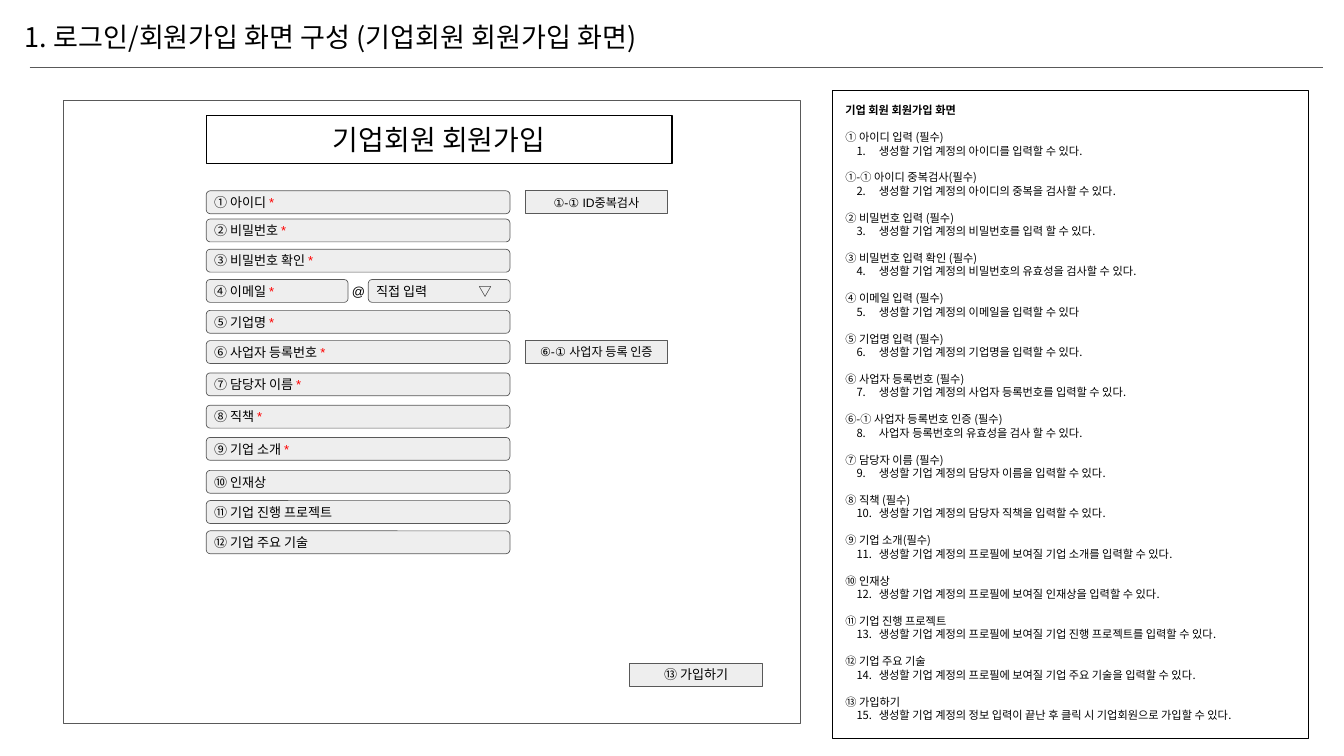
from pptx import Presentation
from pptx.dml.color import RGBColor
from pptx.enum.shapes import MSO_CONNECTOR as Connector, MSO_SHAPE as Shape
from pptx.enum.text import MSO_ANCHOR as Anchor, PP_ALIGN as Align
from pptx.oxml.ns import qn
from pptx.util import Pt
from lxml.etree import SubElement

BLACK = RGBColor(0x00, 0x00, 0x00)
RED = RGBColor(0xFF, 0x00, 0x00)
GRAY = RGBColor(0x59, 0x59, 0x59)
PALE = RGBColor(0xEE, 0xEE, 0xEE)
ARIAL, NOTO = "Arial", "Noto Sans CJK KR"

FIELD_LEFT, FIELD_WIDTH, HALF_WIDTH, FIELD_HEIGHT = 221, 325.4, 152, 24.5
EMAIL_TOP = 299.5
FIELDS = [
    ("① 아이디", 204.5, True),
    ("② 비밀번호", 234.7, True),
    ("③ 비밀번호 확인", 267.1, True),
    ("④ 이메일", EMAIL_TOP, True),
    ("⑤ 기업명", 332.6, True),
    ("⑥ 사업자 등록번호", 365, True),
    ("⑦ 담당자 이름", 399.6, True),
    ("⑧ 직책", 434.2, True),
    ("⑨ 기업 소개", 468.7, True),
    ("⑩ 인재상", 504, False),
    ("⑪ 기업 진행 프로젝트", 536.4, False),
    ("⑫ 기업 주요 기술", 568.8, False),
]
BUTTONS = [
    ("①-① ID중복검사", 563, 204.5, 152, 13),
    ("⑥-① 사업자 등록 인증", 563, 365, 152, 13),
    ("⑬ 가입하기", 674.6, 710.6, 142.6, 14),
]
NOTES = [
    ("① 아이디 입력 (필수)", "생성할 기업 계정의 아이디를 입력할 수 있다."),
    ("①-① 아이디 중복검사(필수)", "생성할 기업 계정의 아이디의 중복을 검사할 수 있다."),
    ("② 비밀번호 입력 (필수)", "생성할 기업 계정의 비밀번호를 입력 할 수 있다."),
    ("③ 비밀번호 입력 확인 (필수)", "생성할 기업 계정의 비밀번호의 유효성을 검사할 수 있다."),
    ("④ 이메일 입력 (필수)", "생성할 기업 계정의 이메일을 입력할 수 있다"),
    ("⑤ 기업명 입력 (필수)", "생성할 기업 계정의 기업명을 입력할 수 있다."),
    ("⑥ 사업자 등록번호 (필수)", "생성할 기업 계정의 사업자 등록번호를 입력할 수 있다."),
    ("⑥-① 사업자 등록번호 인증 (필수)", "사업자 등록번호의 유효성을 검사 할 수 있다."),
    ("⑦ 담당자 이름 (필수)", "생성할 기업 계정의 담당자 이름을 입력할 수 있다."),
    ("⑧ 직책 (필수)", "생성할 기업 계정의 담당자 직책을 입력할 수 있다."),
    ("⑨ 기업 소개(필수)", "생성할 기업 계정의 프로필에 보여질 기업 소개를 입력할 수 있다."),
    ("⑩ 인재상", "생성할 기업 계정의 프로필에 보여질 인재상을 입력할 수 있다."),
    ("⑪ 기업 진행 프로젝트", "생성할 기업 계정의 프로필에 보여질 기업 진행 프로젝트를 입력할 수 있다."),
    ("⑫ 기업 주요 기술", "생성할 기업 계정의 프로필에 보여질 기업 주요 기술을 입력할 수 있다."),
    ("⑬ 가입하기", "생성할 기업 계정의 정보 입력이 끝난 후 클릭 시 기업회원으로 가입할 수 있다."),
]


def add_span(para, text, size, font=ARIAL, color=BLACK, bold=False):
    """Add one styled run to a paragraph."""
    span = para.add_run()
    span.text = text
    span.font.size, span.font.name, span.font.bold = Pt(size), font, bold
    span.font.color.rgb = color
    SubElement(span.font._element, qn("a:ea"), typeface=NOTO)


def set_frame(box, inset, anchor=Anchor.MIDDLE, wrap=True):
    """Set insets, anchor and wrapping, and return the text frame."""
    frame = box.text_frame
    frame.margin_left = frame.margin_right = Pt(inset)
    frame.margin_top = frame.margin_bottom = Pt(inset)
    frame.vertical_anchor, frame.word_wrap = anchor, wrap
    return frame


def add_box(page, left, top, width, height, kind=Shape.RECTANGLE,
            fill=None, line=GRAY, weight=0.75):
    """Add an outlined shape, optionally filled."""
    box = page.shapes.add_shape(kind, Pt(left), Pt(top), Pt(width), Pt(height))
    box.shadow.inherit = False
    if fill is None:
        box.fill.background()
    else:
        box.fill.solid()
        box.fill.fore_color.rgb = fill
    box.line.color.rgb, box.line.width = line, Pt(weight)
    return box


def add_field(page, label, left, top, width, required=False):
    """Add a rounded input field and return its paragraph."""
    box = add_box(page, left, top, width, FIELD_HEIGHT, Shape.ROUNDED_RECTANGLE, PALE)
    box.adjustments[0] = 0.17
    para = set_frame(box, 7.2).paragraphs[0]
    para.alignment = Align.LEFT
    add_span(para, label + " " if required else label, 14)
    if required:
        add_span(para, "*", 14, color=RED)
    return para


def add_dropdown(page):
    """Add the mail domain selector with its arrow on a tab stop."""
    para = add_field(page, "직접 입력", 394.6, EMAIL_TOP, HALF_WIDTH)
    tabs = SubElement(para._p.get_or_add_pPr(), qn("a:tabLst"))
    SubElement(tabs, qn("a:tab"), pos=str(Pt(110)), algn="l")
    add_span(para, "\t▽", 14)


def add_button(page, label, left, top, width, size):
    """Add a rectangular button with a centred label."""
    box = add_box(page, left, top, width, FIELD_HEIGHT, fill=PALE)
    para = set_frame(box, 7.2).paragraphs[0]
    para.alignment = Align.CENTER
    add_span(para, label, size)


def add_label(page, text, left, top, width, height, size, font, inset, wrap):
    """Add a plain text box and return its frame."""
    box = page.shapes.add_textbox(Pt(left), Pt(top), Pt(width), Pt(height))
    frame = set_frame(box, inset, wrap=wrap)
    add_span(frame.paragraphs[0], text, size, font)
    return frame


def add_rule(page, left, right, top):
    """Add the horizontal rule below the title."""
    rule = page.shapes.add_connector(Connector.STRAIGHT, Pt(left), Pt(top), Pt(right), Pt(top))
    rule.line.color.rgb, rule.line.width = GRAY, Pt(0.75)
    SubElement(rule._element.spPr, qn("a:effectLst"))


def number_para(para, number):
    """Give a paragraph a hanging number."""
    props = para._p.get_or_add_pPr()
    props.set("marL", str(Pt(36)))
    props.set("indent", str(Pt(-24)))
    color = SubElement(props, qn("a:buClr"))
    SubElement(color, qn("a:srgbClr"), val=str(BLACK))
    SubElement(props, qn("a:buFont"), typeface=NOTO)
    SubElement(props, qn("a:buAutoNum"), type="arabicPeriod", startAt=str(number))


def add_notes(page):
    """Add the description panel with its numbered notes."""
    box = add_box(page, 892, 97.2, 509.8, 694, line=BLACK, weight=1.5)
    frame = set_frame(box, 13.7, Anchor.TOP)
    pitch = Pt(14.4)
    add_span(frame.paragraphs[0], "기업 회원 회원가입 화면", 12, NOTO, bold=True)
    for number, (heading, detail) in enumerate(NOTES, 1):
        para = frame.add_paragraph()
        para.space_before = pitch
        add_span(para, heading, 12, NOTO)
        para = frame.add_paragraph()
        number_para(para, number)
        add_span(para, detail, 12, NOTO)
    for para in frame.paragraphs:
        para.alignment, para.line_spacing = Align.LEFT, pitch


def main():
    """Build the sign-up screen page."""
    deck = Presentation()
    deck.slide_width, deck.slide_height = Pt(1440), Pt(810)
    page = deck.slides.add_slide(deck.slide_layouts[6])

    add_box(page, 67.7, 108, 789.8, 667.4)
    title = add_label(page, "1. 로그인/회원가입 화면 구성 (기업회원 회원가입 화면)",
                      0, 0, 1440, 78.5, 29, NOTO, 13.7, True)
    title.margin_left = Pt(26.7)
    add_notes(page)
    add_rule(page, 31.7, 1417, 72.7)

    banner = add_box(page, FIELD_LEFT, 123.8, 499, 51.1, line=BLACK, weight=1.5)
    para = set_frame(banner, 0).paragraphs[0]
    para.alignment = Align.CENTER
    add_span(para, "기업회원 회원가입", 30, NOTO)

    for label, top, required in FIELDS:
        width = HALF_WIDTH if top == EMAIL_TOP else FIELD_WIDTH
        add_field(page, label, FIELD_LEFT, top, width, required)
    add_dropdown(page)
    add_label(page, "@", 370, 296, 18.7, 31.7, 14, ARIAL, 7.2, False)
    for button in BUTTONS:
        add_button(page, *button)

    deck.save("out.pptx")


if __name__ == "__main__":
    main()
